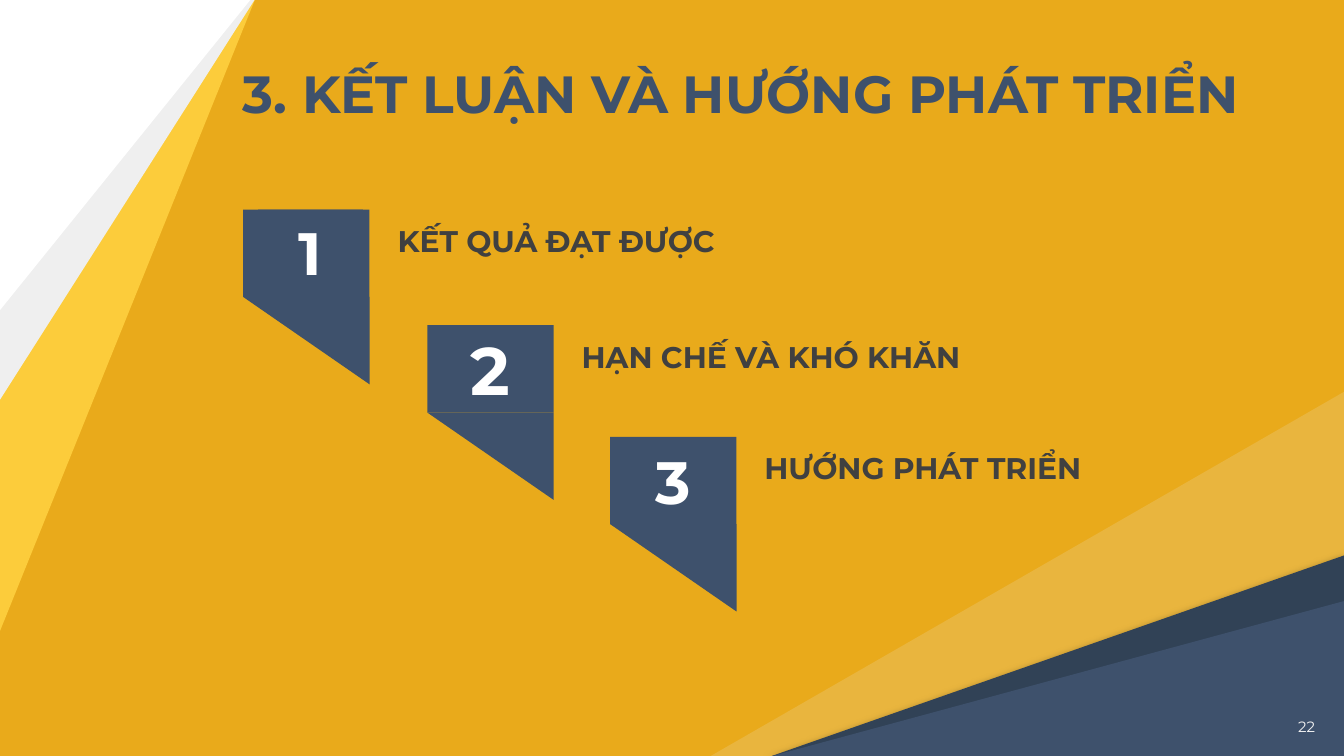
from lxml import etree
from pptx import Presentation
from pptx.dml.color import RGBColor
from pptx.enum import shapes, text
from pptx.oxml import ns
from pptx.util import Inches, Pt

C = {"amber": "E9AA1B", "navy": "3E516C", "dark": "314256", "yellow": "FCCC3B",
     "grey": "EFEFEF", "pale": "EDEDEB", "white": "FFFFFF", "label": "404040",
     "number": "F3F3F3"}

prs = Presentation()
prs.slide_width = Inches(10)
prs.slide_height = prs.slide_width * 9 // 16
s = prs.slides.add_slide(prs.slide_layouts[6])
s.background.fill.solid()
s.background.fill.fore_color.rgb = RGBColor.from_string(C["amber"])


def paint(sp, color):
    """Flat fill, no outline, no shadow."""
    sp.shadow.inherit = False
    sp.fill.solid()
    sp.fill.fore_color.rgb = RGBColor.from_string(C[color])
    sp.line.fill.background()


def write(sp, words, size, color, inset=None, bold=True):
    tf = sp.text_frame
    tf.word_wrap = True
    if inset is not None:
        tf.margin_left = tf.margin_right = Inches(inset)
        tf.margin_top = tf.margin_bottom = Inches(inset)
    p = tf.paragraphs[0]
    p.text = words
    p.font.name, p.font.size, p.font.bold = "Montserrat", Pt(size), bold
    p.font.color.rgb = RGBColor.from_string(C[color])
    return tf, p


# Corner wedges, back to front
wedges = [
    ("pale", [(5.28, 5.63), (10.01, 5.63), (10.01, 2.91)]),
    ("dark", [(5.73, 5.63), (10.01, 5.63), (10.01, 4.13)]),
    ("navy", [(5.73, 5.63), (10.01, 5.63), (10.01, 4.47)]),
    ("yellow", [(-0.01, -0.01), (1.9, -0.01), (-0.01, 4.72)]),
    ("grey", [(-0.01, -0.01), (1.9, -0.01), (-0.01, 2.99)]),
    ("white", [(-0.01, -0.01), (1.87, -0.01), (-0.01, 2.32)]),
]
for color, corners in wedges:
    points = [(Inches(x), Inches(y)) for x, y in corners]
    fb = s.shapes.build_freeform(*points[0])
    fb.add_line_segments(points[1:])
    sp = fb.convert_to_shape()
    paint(sp, color)
    if color == "pale":
        clr = sp.fill._xPr.find(".//" + ns.qn("a:srgbClr"))
        etree.SubElement(clr, ns.qn("a:alpha"), val="17000")
    elif color == "dark":
        effects = sp._element.spPr.find(ns.qn("a:effectLst"))
        shadow = etree.SubElement(effects, ns.qn("a:outerShdw"), blurRad=str(Pt(4.5)),
                                  dist=str(Pt(1.5)), dir="5400000", rotWithShape="0")
        clr = etree.SubElement(shadow, ns.qn("a:srgbClr"), val="000000")
        etree.SubElement(clr, ns.qn("a:alpha"), val="50000")

title = s.shapes.add_textbox(Inches(1.71), Inches(0.22), Inches(8.6), Inches(0.8))
tf, p = write(title, "3. KẾT LUẬN VÀ HƯỚNG PHÁT TRIỂN", 28, "navy", inset=0.1)
tf.vertical_anchor = text.MSO_ANCHOR.BOTTOM
p.line_spacing = 1.15

# Numbered ribbons stepping down to the right
W, H = 0.94, 0.65
steps = [
    (1.81, 1.56, 32, "KẾT QUẢ ĐẠT ĐƯỢC", 2.63),
    (3.18, 2.42, 36, "HẠN CHẾ VÀ KHÓ KHĂN", 3.36),
    (4.54, 3.25, 32, "HƯỚNG PHÁT TRIỂN", 2.8),
]
for n, (x, y, size, label, width) in enumerate(steps, 1):
    box = s.shapes.add_shape(shapes.MSO_SHAPE.RECTANGLE,
                             Inches(x), Inches(y), Inches(W), Inches(H))
    paint(box, "navy")

    tail = s.shapes.add_shape(shapes.MSO_SHAPE.ISOSCELES_TRIANGLE,
                              Inches(x), Inches(y + H), Inches(W), Inches(H))
    tail.adjustments[0] = 0
    tail.rotation = 180
    paint(tail, "navy")

    tb = s.shapes.add_textbox(Inches(x + 1.05), Inches(y + 0.05), Inches(width), Inches(0.37))
    write(tb, label, 16, "label")

    anchor = text.MSO_ANCHOR.MIDDLE
    if n == 1:  # the first number sits on its own inner panel
        box = s.shapes.add_shape(shapes.MSO_SHAPE.RECTANGLE,
                                 Inches(1.92), Inches(y), Inches(0.78), Inches(0.64))
        paint(box, "navy")
        anchor = text.MSO_ANCHOR.TOP
    tf, p = write(box, str(n), size, "white")
    tf.vertical_anchor = anchor
    p.alignment = text.PP_ALIGN.CENTER

page = s.shapes.add_textbox(Inches(9.56), Inches(5.19), Inches(0.44), Inches(0.43))
tf, p = write(page, "22", 8, "number", inset=0.1, bold=False)
tf.vertical_anchor = text.MSO_ANCHOR.MIDDLE

prs.save("out.pptx")
